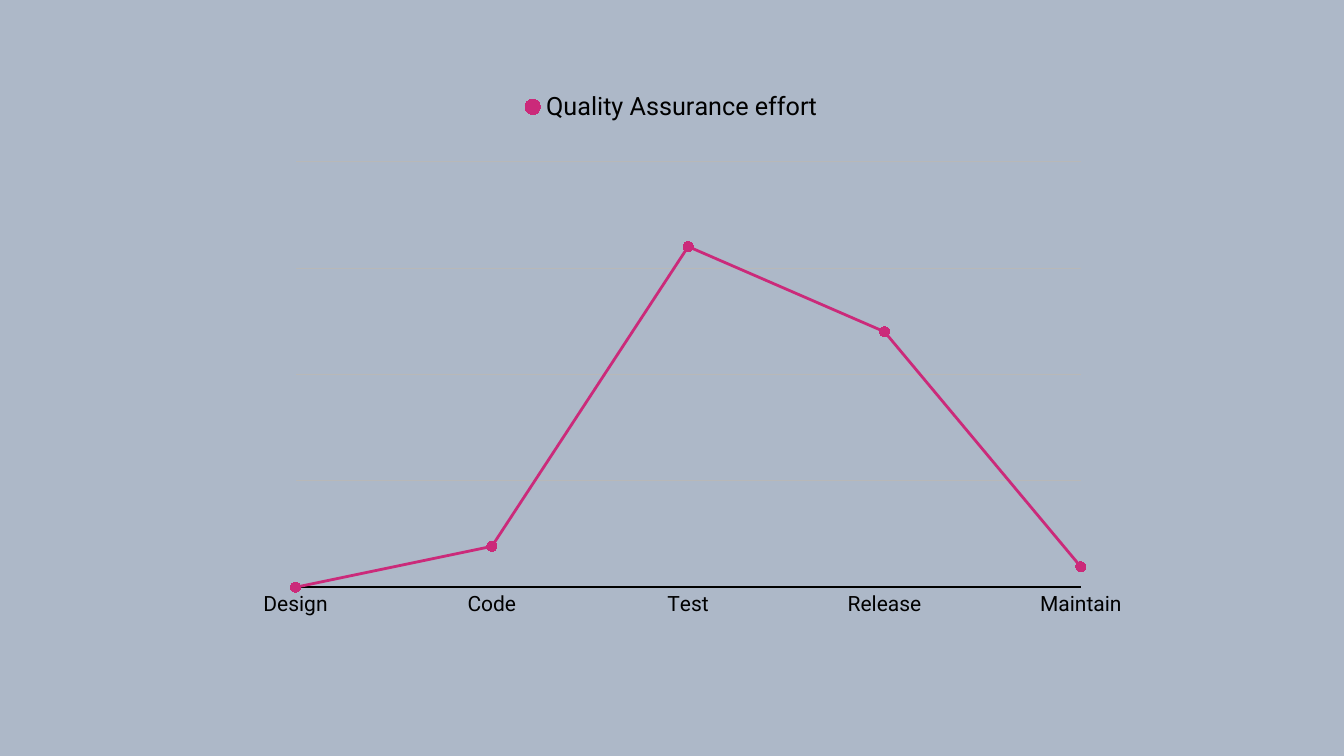
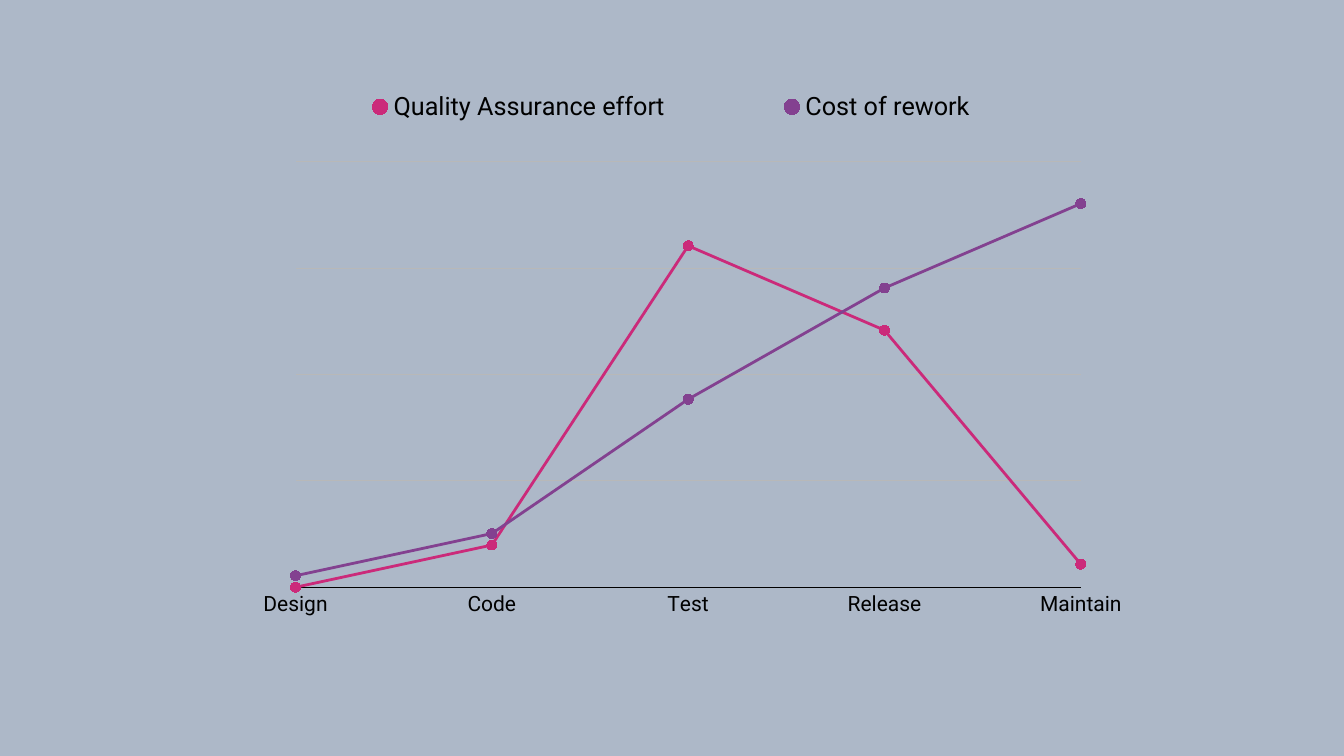
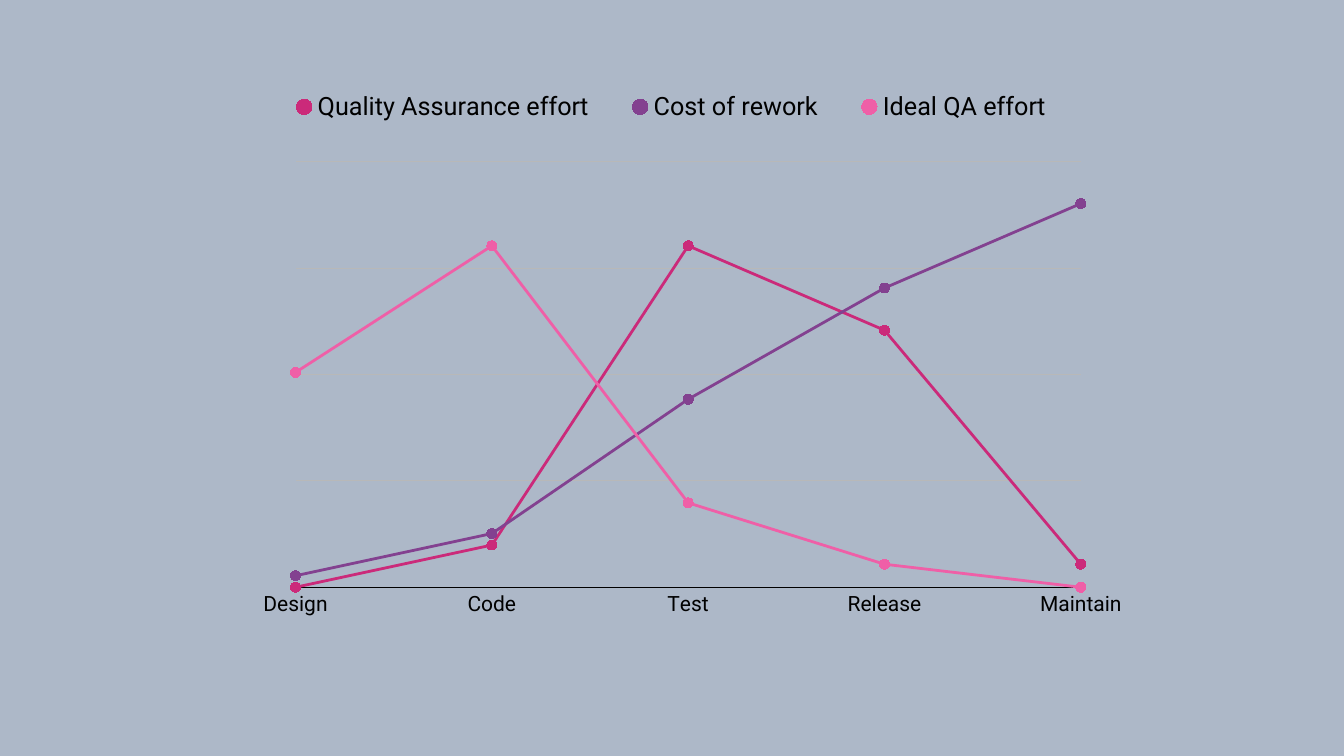
from lxml import etree
from pptx import Presentation
from pptx import util as u
from pptx.chart.data import CategoryChartData
from pptx.dml.color import RGBColor
from pptx.enum import chart as charts
from pptx.oxml.ns import qn

PX = u.Inches(15) / 756
SLIDE_SIZE = (1344, 756)
CHART_BOX = (261, 85, 863, 546)
PLOT_LAYOUT = {"x": 0.04, "y": 0.14, "w": 0.91, "h": 0.78}
LEGEND_LAYOUT = {"x": 0, "y": 0, "w": 0.95, "h": 0.08}
FONT = "Roboto"
COLORS = {
    "background": "ADB8C8",
    "text": "000000",
    "grid": "B8B8B8",
    "marker": "FFFFFF",
    "effort": "CB2A7A",
    "rework": "834190",
    "ideal": "EF5FA7",
}

PHASES = ["Design", "Code", "Test", "Release", "Maintain"]
EFFORT_ALONE = ("Quality Assurance effort", "effort", [0, 12, 100, 75, 6])
EFFORT = ("Quality Assurance effort", "effort", [0, 11, 89, 67, 6])
REWORK = ("Cost of rework", "rework", [3, 14, 49, 78, 100])
IDEAL = ("Ideal QA effort", "ideal", [56, 89, 22, 6, 0])
SLIDES = [
    {"series": [EFFORT_ALONE], "maximum": 125, "axis_width": 3},
    {"series": [EFFORT, REWORK], "maximum": 111, "axis_width": 1},
    {"series": [EFFORT, REWORK, IDEAL], "maximum": 111, "axis_width": 1},
]
GRID_STEPS = 4


def px(length):
    return u.Emu(round(length * PX))


def rgb(name):
    return RGBColor.from_string(COLORS[name])


def set_font(font, size):
    font.name = FONT
    font.size = u.Pt(size)
    font.bold = False
    font.color.rgb = rgb("text")


def set_line(line, color, width):
    line.color.rgb = rgb(color)
    line.width = u.Pt(width)


def manual_layout(fractions, inner=False):
    """Return a c:layout element placed by fractions of the chart."""
    layout = etree.Element(qn("c:layout"))
    manual = etree.SubElement(layout, qn("c:manualLayout"))
    settings = {"layoutTarget": "inner"} if inner else {}
    settings.update(xMode="edge", yMode="edge", **fractions)
    for tag, value in settings.items():
        etree.SubElement(manual, qn(f"c:{tag}")).set("val", str(value))
    return layout


def place(element, index, layout):
    for old in element.findall(qn("c:layout")):
        element.remove(old)
    element.insert(index, layout)


def start_lines_on_axis(value_axis):
    """Put the first and last categories on the edges of the plot."""
    element = value_axis._element
    cross = element.find(qn("c:crossBetween"))
    if cross is None:
        cross = etree.Element(qn("c:crossBetween"))
        element.find(qn("c:crosses")).addnext(cross)
    cross.set("val", "midCat")


def style_axes(chart, maximum, axis_width):
    for axis in (chart.category_axis, chart.value_axis):
        axis.major_tick_mark = axis.minor_tick_mark = charts.XL_TICK_MARK.NONE
        set_font(axis.tick_labels.font, 30)

    category_axis = chart.category_axis
    category_axis.tick_label_position = charts.XL_TICK_LABEL_POSITION.LOW
    category_axis.has_major_gridlines = False
    set_line(category_axis.format.line, "text", axis_width)

    value_axis = chart.value_axis
    value_axis.tick_label_position = charts.XL_TICK_LABEL_POSITION.NONE
    value_axis.minimum_scale = 0
    value_axis.maximum_scale = maximum
    value_axis.major_unit = maximum / GRID_STEPS
    value_axis.has_major_gridlines = True
    set_line(value_axis.major_gridlines.format.line, "grid", 1)
    value_axis.format.line.fill.background()
    start_lines_on_axis(value_axis)


def style_series(series, color):
    series.smooth = False
    set_line(series.format.line, color, 4)
    marker = series.marker
    marker.style = charts.XL_MARKER_STYLE.CIRCLE
    marker.size = 14
    marker.format.fill.solid()
    marker.format.fill.fore_color.rgb = rgb("marker")
    set_line(marker.format.line, color, 4)


def add_legend(chart):
    chart.has_legend = True
    legend = chart.legend
    legend.position = charts.XL_LEGEND_POSITION.TOP
    legend.include_in_layout = True
    set_font(legend.font, 36)
    place(legend._element, 1, manual_layout(LEGEND_LAYOUT))


def add_line_chart(slide, series, maximum, axis_width):
    data = CategoryChartData()
    data.categories = PHASES
    for name, _, values in series:
        data.add_series(name, values)
    chart = slide.shapes.add_chart(
        charts.XL_CHART_TYPE.LINE_MARKERS, *map(px, CHART_BOX), data
    ).chart
    chart.has_title = False
    set_font(chart.font, 10)
    plot = chart.plots[0]
    plot.vary_by_categories = False
    for line, (_, color, _) in zip(plot.series, series):
        style_series(line, color)
    style_axes(chart, maximum, axis_width)
    add_legend(chart)
    plot_area = chart._chartSpace.chart.plotArea
    place(plot_area, 0, manual_layout(PLOT_LAYOUT, inner=True))


def main():
    presentation = Presentation()
    presentation.slide_width, presentation.slide_height = map(px, SLIDE_SIZE)
    for content in SLIDES:
        slide = presentation.slides.add_slide(presentation.slide_layouts[6])
        slide.background.fill.solid()
        slide.background.fill.fore_color.rgb = rgb("background")
        add_line_chart(slide, **content)
    presentation.save("out.pptx")


if __name__ == "__main__":
    main()
